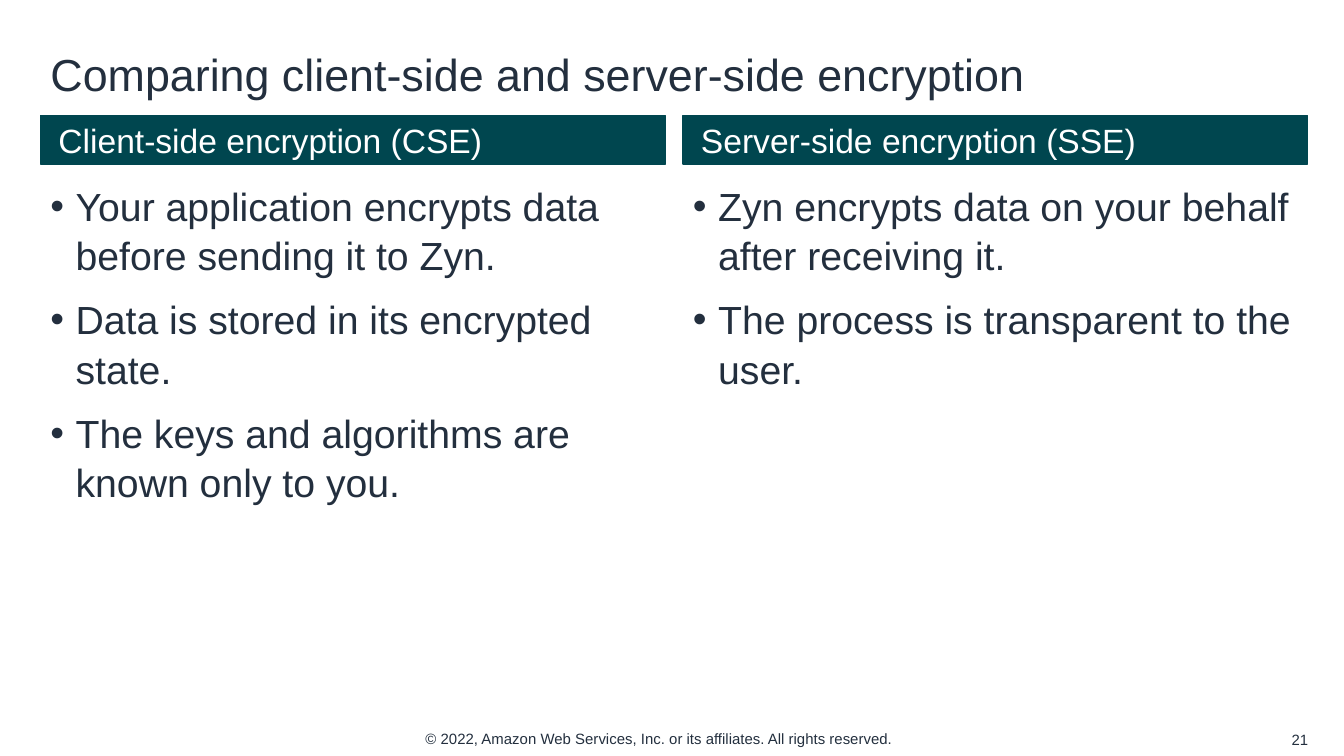
from lxml import etree
from pptx import Presentation
from pptx.dml.color import RGBColor
from pptx.enum.shapes import MSO_SHAPE
from pptx.enum.text import MSO_ANCHOR, PP_ALIGN
from pptx.oxml.ns import qn
from pptx.util import Pt

RECTANGLE = MSO_SHAPE.RECTANGLE
TOP, MIDDLE = MSO_ANCHOR.TOP, MSO_ANCHOR.MIDDLE
LEFT, RIGHT = PP_ALIGN.LEFT, PP_ALIGN.RIGHT
FONT = "Arial"
NAVY, TEAL, WHITE = "232F3E", "00464F", "FFFFFF"
MARGIN, COLUMN_WIDTH, COLUMN_STEP = 21.6, 334.8, 344.2
COLUMNS = [
    ("Client-side encryption (CSE)", [
        "Your application encrypts data before sending it to Zyn.",
        "Data is stored in its encrypted state.",
        "The keys and algorithms are known only to you.",
    ]),
    ("Server-side encryption (SSE)", [
        "Zyn encrypts data on your behalf after receiving it.",
        "The process is transparent to the user.",
    ]),
]


def color(hex_value):
    """Turn a hex string into a colour."""
    return RGBColor.from_string(hex_value)


def set_frame(frame, anchor):
    """Apply the common insets, wrapping and anchor."""
    frame.word_wrap = True
    frame.vertical_anchor = anchor
    frame.margin_left = frame.margin_right = Pt(5.4)
    frame.margin_top = frame.margin_bottom = Pt(2.7)


def write(paragraph, text, size, hex_value=NAVY, align=LEFT):
    """Add one formatted run to a paragraph."""
    paragraph.alignment = align
    run = paragraph.add_run()
    run.text = text
    run.font.name = FONT
    run.font.size = Pt(size)
    run.font.color.rgb = color(hex_value)


def set_indent(paragraph, left, first=0):
    """Set the left and first-line indents of a paragraph."""
    properties = paragraph._p.get_or_add_pPr()
    properties.set("marL", str(Pt(left)))
    properties.set("indent", str(Pt(first)))
    return properties


def add_bullet(paragraph):
    """Give a paragraph a hanging navy bullet."""
    properties = set_indent(paragraph, 13.5, -13.5)
    bullet_color = etree.SubElement(properties, qn("a:buClr"))
    etree.SubElement(bullet_color, qn("a:srgbClr"), val=NAVY)
    etree.SubElement(properties, qn("a:buFont"), typeface=FONT)
    etree.SubElement(properties, qn("a:buChar"), char="•")


def add_title(slide, text):
    """Place and fill the title placeholder."""
    title = slide.shapes.title
    title.left, title.top = Pt(MARGIN), Pt(18)
    title.width, title.height = Pt(683.3), Pt(43.2)
    set_frame(title.text_frame, MIDDLE)
    write(title.text_frame.paragraphs[0], text, 24)


def add_text(slide, left, top, width, height, anchor=TOP):
    """Add an empty text box and return its frame."""
    box = slide.shapes.add_textbox(Pt(left), Pt(top), Pt(width), Pt(height))
    set_frame(box.text_frame, anchor)
    return box.text_frame


def add_heading(slide, left, text):
    """Add the filled heading bar of a column."""
    bar = slide.shapes.add_shape(
        RECTANGLE, Pt(left), Pt(61.9), Pt(COLUMN_WIDTH), Pt(25.9))
    bar.shadow.inherit = False
    bar.fill.solid()
    bar.fill.fore_color.rgb = color(TEAL)
    bar.line.color.rgb = color(TEAL)
    bar.line.width = Pt(0.75)
    set_frame(bar.text_frame, MIDDLE)
    paragraph = bar.text_frame.paragraphs[0]
    set_indent(paragraph, 4.3)
    write(paragraph, text, 18, WHITE)


def add_points(slide, left, points):
    """Add the bulleted list of a column."""
    frame = add_text(slide, left, 93.6, COLUMN_WIDTH, 285.8)
    for index, point in enumerate(points):
        paragraph = frame.add_paragraph() if index else frame.paragraphs[0]
        add_bullet(paragraph)
        paragraph.line_spacing = 1.05
        if index:
            paragraph.space_before = Pt(8)
        write(paragraph, point, 21)


def main():
    """Build the encryption comparison slide."""
    deck = Presentation()
    deck.slide_width, deck.slide_height = Pt(720), Pt(405)
    slide = deck.slides.add_slide(deck.slide_layouts[5])
    add_title(slide, "Comparing client-side and server-side encryption")
    for index, (heading, points) in enumerate(COLUMNS):
        left = MARGIN + index * COLUMN_STEP
        add_heading(slide, left, heading)
        add_points(slide, left, points)
    copyright_line = add_text(slide, 222.5, 388.1, 275, 15.1)
    write(copyright_line.paragraphs[0],
          "© 2022, Amazon Web Services, Inc. or its affiliates. All rights reserved.", 8)
    page_number = add_text(slide, 677.5, 388.1, 28.8, 15.8, MIDDLE)
    write(page_number.paragraphs[0], "21", 8, align=RIGHT)
    deck.save("out.pptx")


if __name__ == "__main__":
    main()
